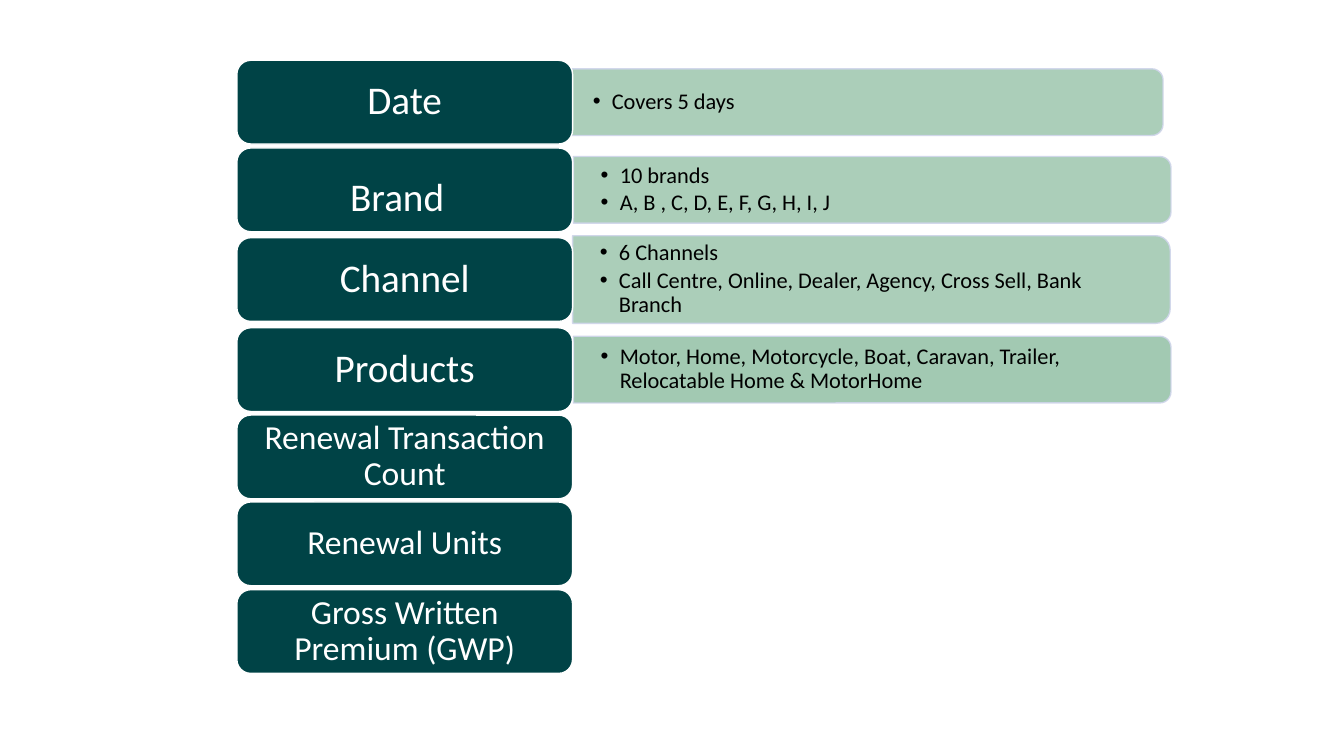
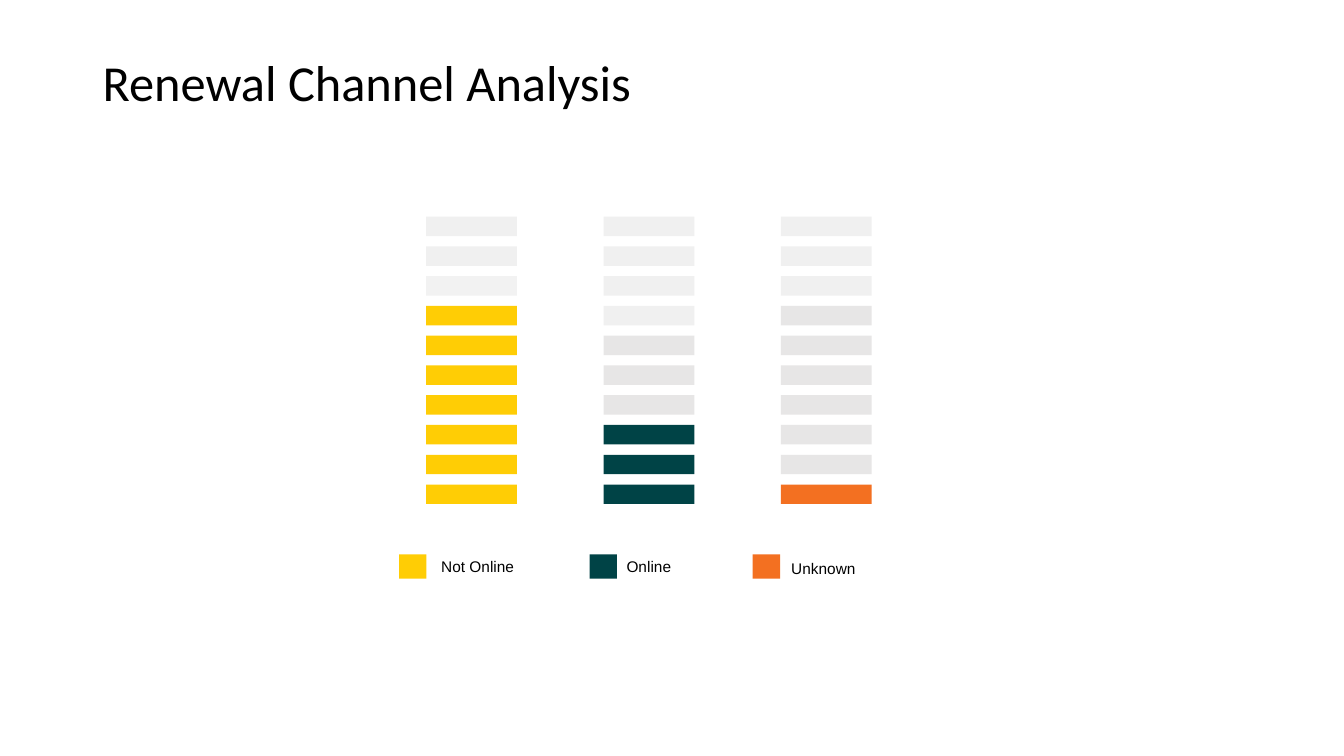
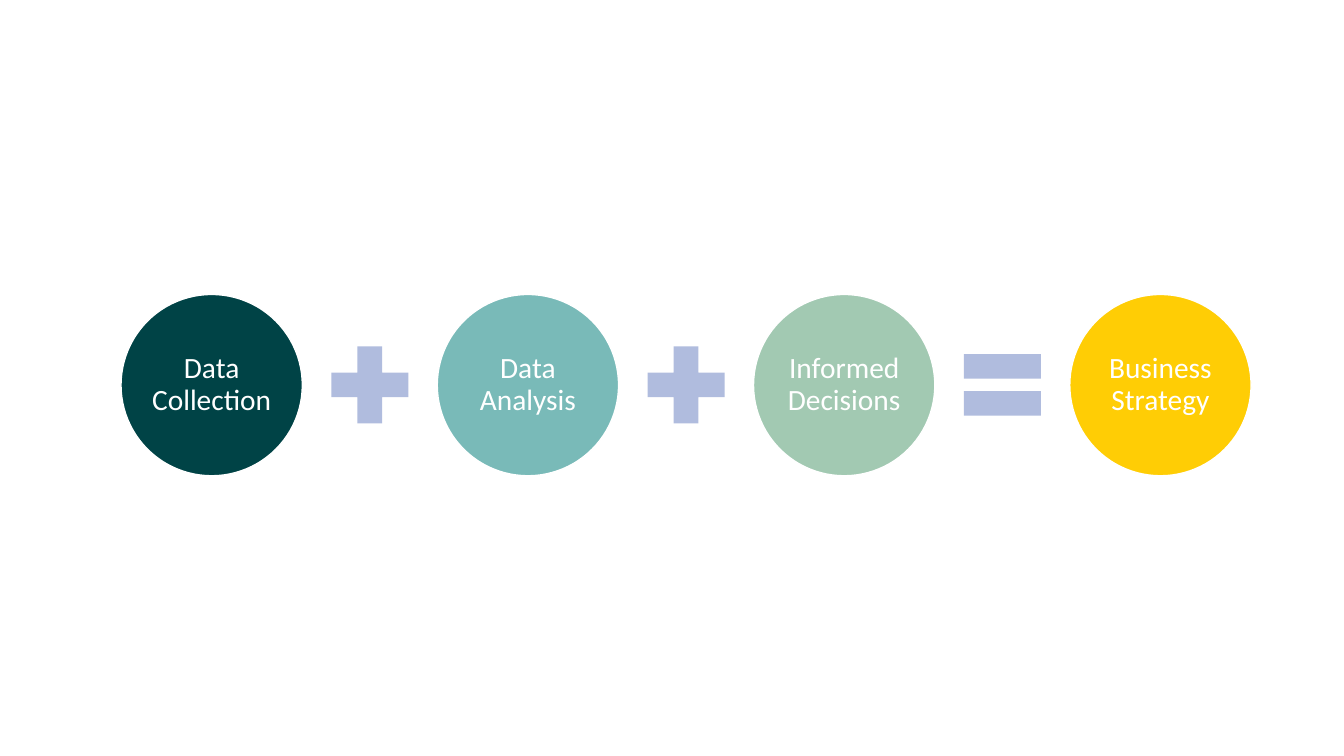
"""Build a three-slide deck on renewal data, channel mix and strategy."""
from lxml.etree import SubElement
from pptx import Presentation
from pptx.dml.color import RGBColor
from pptx.enum.shapes import MSO_SHAPE as Shape
from pptx.enum.text import MSO_ANCHOR as Anchor, PP_ALIGN as Align
from pptx.oxml.ns import qn
from pptx.util import Cm, Pt

COLOURS = {
    "teal": "004346", "aqua": "79BAB8", "sage": "A2C9B2", "yellow": "FFCD05",
    "orange": "F37021", "lavender": "B0BCDE", "outline": "CFD5EA",
    "pale": "F0F0F0", "paler": "F2F2F2", "grey": "E7E6E6",
    "white": "FFFFFF", "black": "000000",
}
CENTRED = {"alignment": Align.CENTER, "line_spacing": 0.9}
TIGHT = {"line_spacing": 0.9}
BULLET = {"level": 1, "line_spacing": 0.9, "space_after": Pt(2.4)}

HEAD_LEFT, HEAD_WIDTH, HEAD_HEIGHT = 5.97, 8.46, 2.11
PANEL_WIDTH = 15.06
FIELDS = [
    (1.52, [("Date", 28)], (14.25, 1.68, True, ["Covers 5 days"])),
    (3.73, [("Brand", 28), (" ", 48)],
     (14.45, 1.68, True, ["10 brands", "A, B , C, D, E, F, G, H, I, J"])),
    (5.99, [("Channel", 28)],
     (14.43, 2.21, True,
      ["6 Channels", "Call Centre, Online, Dealer, Agency, Cross Sell, Bank Branch"])),
    (8.26, [("Products", 28)],
     (14.45, 1.68, False,
      ["Motor, Home, Motorcycle, Boat, Caravan, Trailer, Relocatable Home & MotorHome"])),
    (10.46, [("Renewal Transaction Count", 24)], None),
    (12.65, [("Renewal Units", 24)], None),
    (14.86, [("Gross Written Premium (GWP)", 24)], None),
]
STACKS = [
    [("pale", 2), ("paler", 1), ("yellow", 7)],
    [("pale", 4), ("grey", 3), ("teal", 3)],
    [("pale", 3), ("grey", 6), ("orange", 1)],
]
LEGEND = [
    ("Not Online", "yellow", 10.06, 10.87, 13.92, 2.72),
    ("Online", "teal", 14.86, 15.54, 13.92, 1.78),
    ("Unknown", "orange", 18.97, 19.69, 13.97, 2.29),
]
STEPS = [
    ("Data Collection", "teal", Shape.MATH_PLUS),
    ("Data Analysis", "aqua", Shape.MATH_PLUS),
    ("Informed Decisions", "sage", Shape.MATH_EQUAL),
    ("Business Strategy", "yellow", None),
]


def colour(name):
    return RGBColor.from_string(COLOURS[name])


def apply_format(target, values):
    for name, value in values.items():
        setattr(target, name, value)


def add_page(deck):
    return deck.slides.add_slide(deck.slide_layouts[6])


def add_figure(page, kind, left, top, width, height, fill, line=None):
    figure = page.shapes.add_shape(kind, Cm(left), Cm(top), Cm(width), Cm(height))
    figure.shadow.inherit = False
    figure.fill.solid()
    figure.fill.fore_color.rgb = colour(fill)
    if line:
        figure.line.color.rgb = colour(line)
        figure.line.width = Pt(1)
    else:
        figure.line.fill.background()
    return figure


def add_box(page, left, top, width, height):
    return page.shapes.add_textbox(Cm(left), Cm(top), Cm(width), Cm(height))


def write(box, paragraphs, layout, ink="black", font="Calibri",
          anchor=Anchor.MIDDLE, insets=(0.25, 0.13)):
    frame = box.text_frame
    across, down = map(Cm, insets)
    apply_format(frame, {
        "word_wrap": True, "vertical_anchor": anchor,
        "margin_left": across, "margin_right": across,
        "margin_top": down, "margin_bottom": down,
    })
    for index, spans in enumerate(paragraphs):
        para = frame.add_paragraph() if index else frame.paragraphs[0]
        apply_format(para, layout)
        for text, size in spans:
            span = para.add_run()
            span.text = text
            apply_format(span.font, {"name": font, "size": Pt(size)})
            span.font.color.rgb = colour(ink)


def add_bullets(box):
    for para in box.text_frame.paragraphs:
        properties = para._p.get_or_add_pPr()
        properties.set("marL", str(Cm(0.48)))
        properties.set("indent", str(-Cm(0.48)))
        SubElement(properties, qn("a:buFont"), typeface="Arial")
        SubElement(properties, qn("a:buChar"), char="•")


def add_panel(page, middle, left, height, sheer, lines):
    panel = add_figure(page, Shape.ROUND_2_SAME_RECTANGLE,
                       left + (PANEL_WIDTH - height) / 2, middle - PANEL_WIDTH / 2,
                       height, PANEL_WIDTH, "sage", "outline")
    panel.rotation = 90
    tints = list(panel.element.spPr.iter(qn("a:srgbClr")))
    for tint in tints if sheer else tints[1:]:
        SubElement(tint, qn("a:alpha"), val="90000")
    box = add_box(page, left, middle - height / 2, PANEL_WIDTH - 0.1, height)
    write(box, [[(line, 16)] for line in lines], BULLET, insets=(0.69, 0.36))
    add_bullets(box)


def add_field(page, top, spans, panel):
    if panel:
        add_panel(page, top + HEAD_HEIGHT / 2, *panel)
    head = add_figure(page, Shape.ROUNDED_RECTANGLE, HEAD_LEFT, top,
                      HEAD_WIDTH, HEAD_HEIGHT, "teal", "white")
    insets = (0.3, 0.15) if panel else (0.25, 0.13)
    write(head, [spans], CENTRED, ink="white", insets=insets)


def add_stack(page, left, bands):
    names = [name for name, count in bands for _ in range(count)]
    for row, name in enumerate(names):
        add_figure(page, Shape.RECTANGLE, left, 5.46 + row * 0.75, 2.29, 0.49, name)


def add_key(page, label, fill, key_left, label_left, label_top, width):
    add_figure(page, Shape.RECTANGLE, key_left, 13.97, 0.69, 0.61, fill)
    box = add_box(page, label_left, label_top, width, 0.73)
    write(box, [[(label, 11)]], {}, font="Arial", anchor=Anchor.TOP)


def add_step(page, left, label, fill, sign):
    circle = add_figure(page, Shape.OVAL, left, 7.42, 4.57, 4.57, fill, "white")
    write(circle, [[(label, 21)]], CENTRED, ink="white", insets=(0.08, 0.08))
    if sign:
        add_figure(page, sign, left + 4.95, 8.38, 2.64, 2.64, "lavender")


def build_fields(page):
    for field in FIELDS:
        add_field(page, *field)


def build_channels(page):
    title = add_box(page, 2.34, 1.02, 29.21, 2.26)
    write(title, [[("Renewal Channel Analysis", 36)]], TIGHT)
    for column, bands in enumerate(STACKS):
        add_stack(page, 10.74 + column * 4.47, bands)
    for key in LEGEND:
        add_key(page, *key)


def build_strategy(page):
    for index, step in enumerate(STEPS):
        add_step(page, 3.05 + index * 7.97, *step)


def main():
    deck = Presentation()
    apply_format(deck, {"slide_width": Cm(33.87), "slide_height": Cm(19.05)})
    for build in (build_fields, build_channels, build_strategy):
        build(add_page(deck))
    deck.save("out.pptx")


if __name__ == "__main__":
    main()
